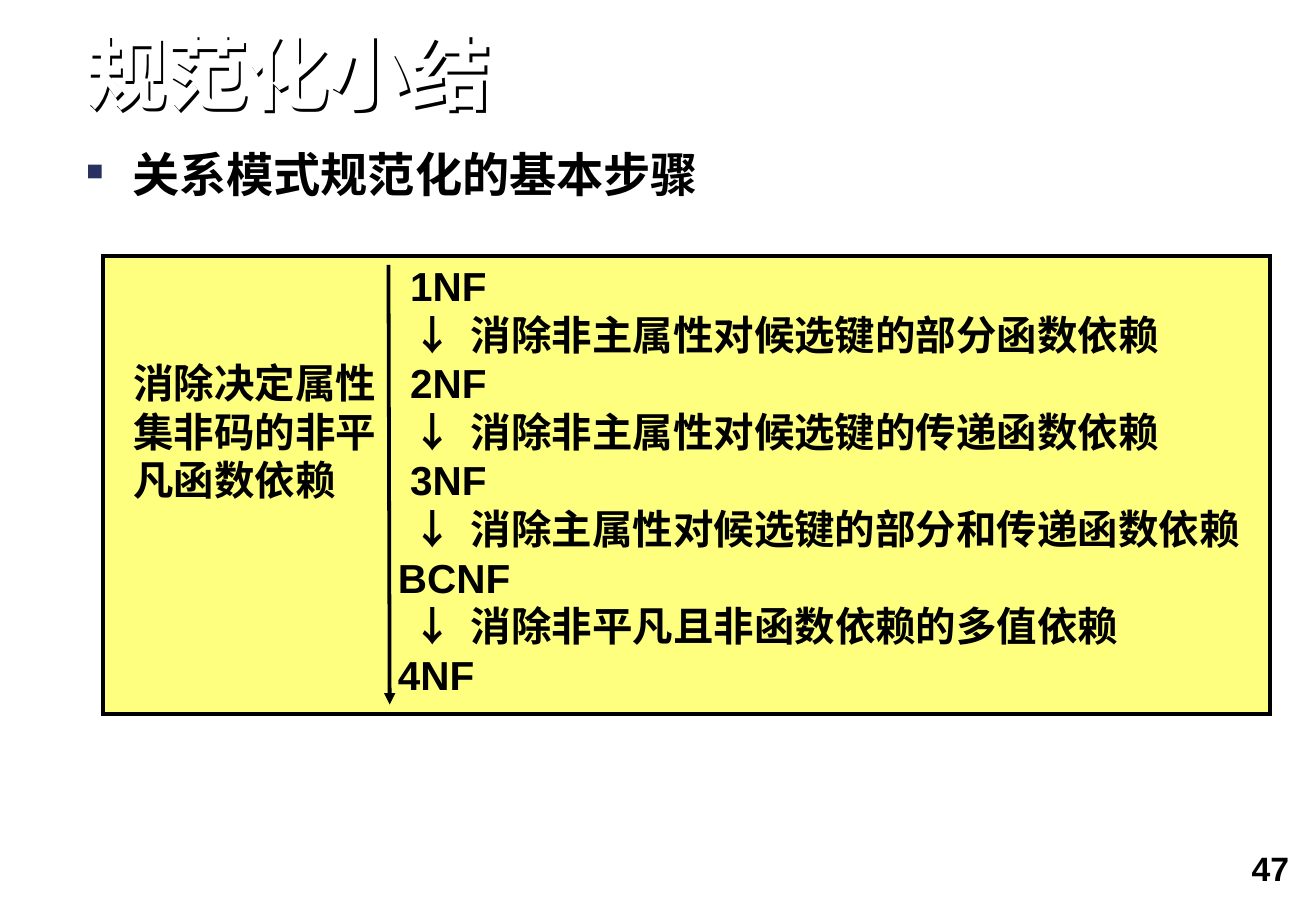
from lxml import etree
from pptx import Presentation
from pptx import util as u
from pptx.dml import color
from pptx.enum import shapes, text
from pptx.oxml import ns

BLACK, WHITE, YELLOW, NAVY = "000000", "FFFFFF", "FFFF00", "27305F"
KEY_TERM = "候选键"
# Tab stops inside the steps box, in inches
LONG_NAME, SHORT_NAME, ARROW, ACTION = 2.18, 2.28, 2.3, 2.78
STEPS = [
    ("\t1NF", [SHORT_NAME]),
    ("\t↓\t消除非主属性对候选键的部分函数依赖", [ARROW, ACTION]),
    ("消除决定属性\t2NF", [SHORT_NAME]),
    ("集非码的非平\t↓\t消除非主属性对候选键的传递函数依赖", [ARROW, ACTION]),
    ("凡函数依赖\t3NF", [SHORT_NAME]),
    ("\t↓\t消除主属性对候选键的部分和传递函数依赖", [ARROW, ACTION]),
    ("\tBCNF", [LONG_NAME]),
    ("\t↓\t消除非平凡且非函数依赖的多值依赖", [ARROW, ACTION]),
    ("\t4NF", [LONG_NAME]),
]


def rgb(value):
    return color.RGBColor.from_string(value)


def set_values(target, values):
    for name, value in values.items():
        setattr(target, name, value)


def add_xml(parent, tag, **attributes):
    return etree.SubElement(parent, ns.qn(tag), attributes)


def place(shape, left, top, width, height):
    box = dict(left=left, top=top, width=width, height=height)
    set_values(shape, {name: u.Inches(value) for name, value in box.items()})


def format_frame(frame, side=0, edge=0, anchor=text.MSO_ANCHOR.TOP):
    set_values(frame, {
        "word_wrap": True, "vertical_anchor": anchor,
        "auto_size": text.MSO_AUTO_SIZE.NONE,
        "margin_left": u.Inches(side), "margin_right": u.Inches(side),
        "margin_top": u.Inches(edge), "margin_bottom": u.Inches(edge),
    })


def add_text_box(slide, box, side=0, edge=0):
    shape = slide.shapes.add_textbox(*map(u.Inches, box))
    format_frame(shape.text_frame, side, edge)
    return shape.text_frame


def add_run(paragraph, words, size, font="Arial", fill=BLACK):
    run = paragraph.add_run()
    run.text = words
    set_values(run.font, {"size": u.Pt(size), "name": font, "bold": True})
    run.font.color.rgb = rgb(fill)


def add_tabs(paragraph, stops):
    tab_list = add_xml(paragraph._p.get_or_add_pPr(), "a:tabLst")
    for stop in stops:
        add_xml(tab_list, "a:tab", pos=str(u.Inches(stop)), algn="l")


def add_bullet(paragraph, indent):
    properties = paragraph._p.get_or_add_pPr()
    properties.set("marL", str(u.Inches(indent)))
    properties.set("indent", str(u.Inches(-indent)))
    add_xml(add_xml(properties, "a:buClr"), "a:srgbClr", val=NAVY)
    add_xml(properties, "a:buSzPct", val="50000")
    add_xml(properties, "a:buChar", char="■")


def add_text_shadow(shape):
    """An unfilled shape casts its shadow from its text."""
    shape.fill.background()
    shape.line.fill.background()
    effects = add_xml(shape._element.spPr, "a:effectLst")
    shadow = add_xml(effects, "a:outerShdw", blurRad="0",
                     dist=str(u.Pt(2)), dir="2700000", algn="tl", rotWithShape="0")
    add_xml(shadow, "a:srgbClr", val=BLACK)


def add_title(slide, words):
    title = slide.shapes.title
    place(title, 0.71, 0.28, 9.65, 0.72)
    format_frame(title.text_frame, anchor=text.MSO_ANCHOR.BOTTOM)
    paragraph = title.text_frame.paragraphs[0]
    set_values(paragraph, {"alignment": text.PP_ALIGN.LEFT, "line_spacing": 0.9})
    add_run(paragraph, words, 48, fill=WHITE)
    add_text_shadow(title)


def add_heading(slide, words):
    frame = add_text_box(slide, (0.71, 1.25, 9.65, 0.42))
    paragraph = frame.paragraphs[0]
    paragraph.line_spacing = 0.9
    add_bullet(paragraph, 0.38)
    add_run(paragraph, words, 28, "Times New Roman")


def add_panel(slide, box):
    panel = slide.shapes.add_shape(shapes.MSO_SHAPE.RECTANGLE, *map(u.Inches, box))
    panel.shadow.inherit = False
    panel.fill.solid()
    panel.fill.fore_color.rgb = rgb(YELLOW)
    fill = panel._element.spPr.find(ns.qn("a:solidFill"))
    add_xml(fill[0], "a:alpha", val="50000")
    panel.line.color.rgb = rgb(BLACK)
    panel.line.width = u.Pt(2.25)
    add_xml(panel.line._get_or_add_ln(), "a:miter", lim="800000")


def add_arrow(slide, *ends):
    arrow = slide.shapes.add_connector(
        shapes.MSO_CONNECTOR.STRAIGHT, *map(u.Inches, ends))
    arrow.line.color.rgb = rgb(BLACK)
    arrow.line.width = u.Pt(2.25)
    add_xml(arrow.line._get_or_add_ln(), "a:tailEnd", type="triangle")
    add_xml(arrow._element.spPr, "a:effectLst")


def add_steps(slide):
    frame = add_text_box(slide, (1, 2.1, 9.84, 3.7), 0.1, 0.05)
    for index, (words, stops) in enumerate(STEPS):
        paragraph = frame.add_paragraph() if index else frame.paragraphs[0]
        add_tabs(paragraph, stops)
        for part in filter(None, words.partition(KEY_TERM)):
            font = "Times New Roman" if part == KEY_TERM else "Arial"
            add_run(paragraph, part, 24, font)


def add_page_number(slide, number):
    frame = add_text_box(slide, (8.01, 6.92, 2.74, 0.58), 0.13, 0.06)
    paragraph = frame.paragraphs[0]
    paragraph.alignment = text.PP_ALIGN.RIGHT
    add_run(paragraph, number, 20)


def main():
    presentation = Presentation()
    set_values(presentation, {"slide_width": u.Inches(10.84),
                              "slide_height": u.Inches(7.5)})
    slide = presentation.slides.add_slide(presentation.slide_layouts[5])
    add_page_number(slide, "47")
    add_title(slide, "规范化小结")
    add_heading(slide, "关系模式规范化的基本步骤")
    add_panel(slide, (0.85, 2.11, 9.61, 3.77))
    add_arrow(slide, 3.2, 2.18, 3.21, 5.8)
    add_steps(slide)
    presentation.save("out.pptx")


if __name__ == "__main__":
    main()
